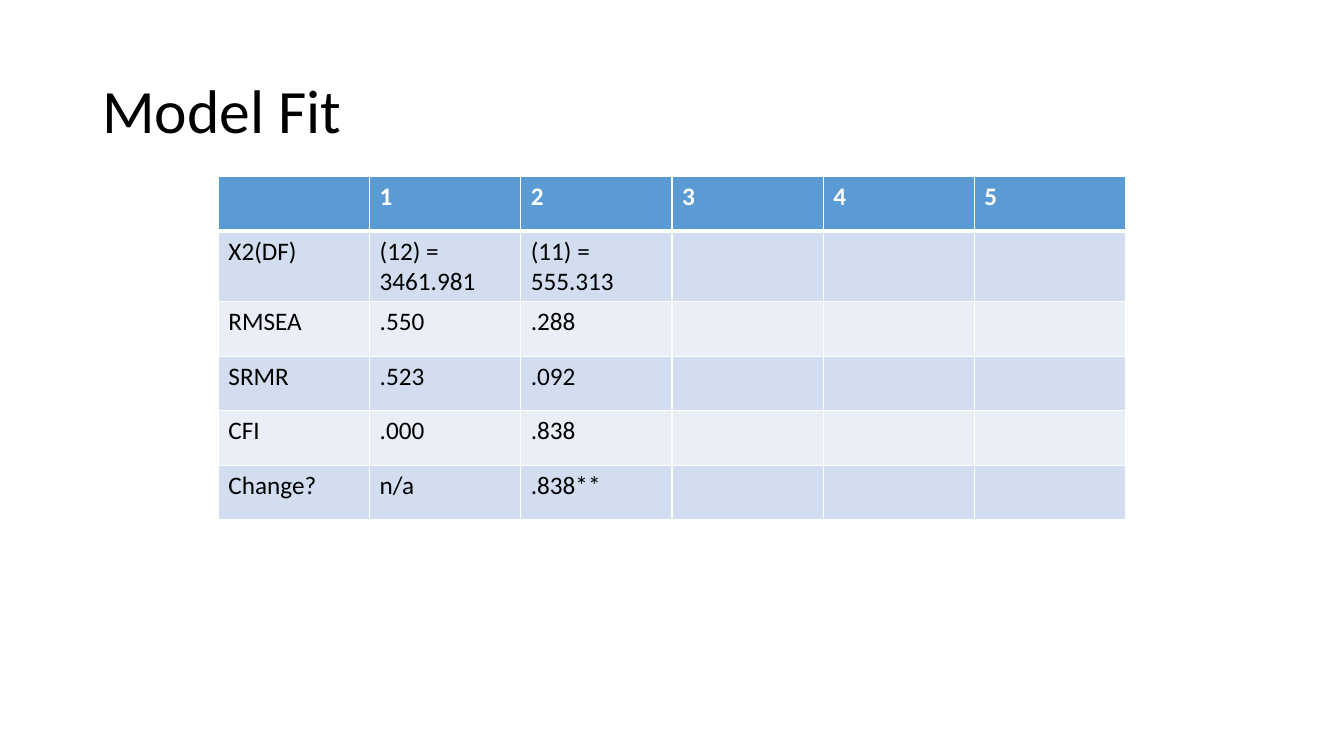
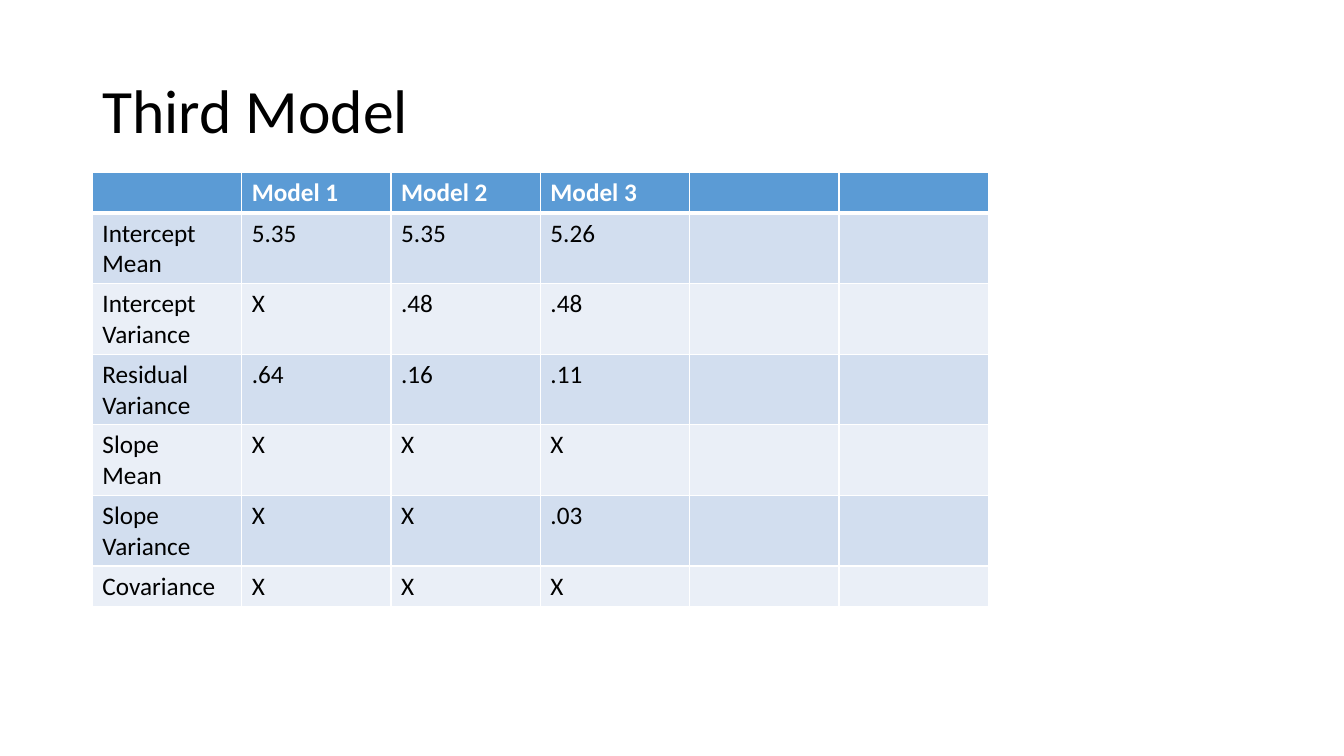
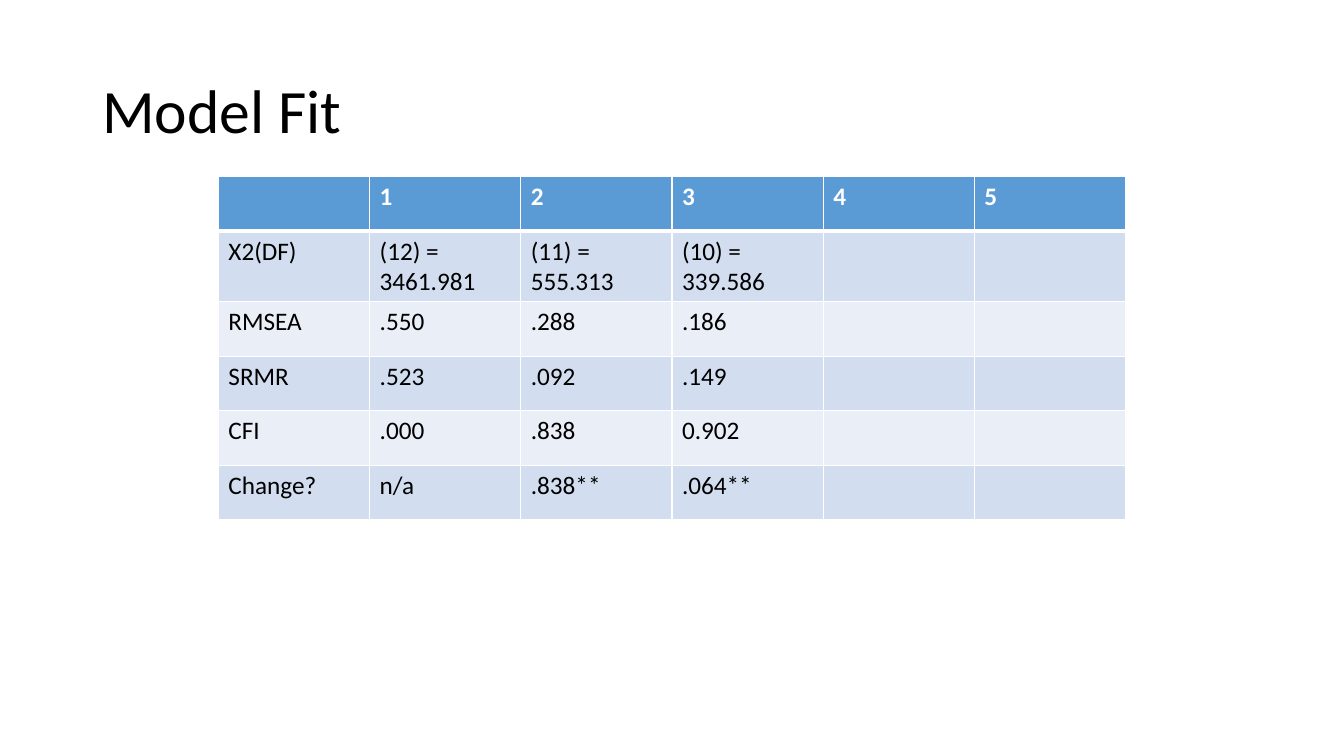
"""Builds three slides that compare growth models in tables."""
from dataclasses import dataclass

from lxml.etree import SubElement
from pptx import Presentation
from pptx.dml.color import RGBColor
from pptx.enum.text import MSO_ANCHOR
from pptx.oxml.ns import qn
from pptx.util import Inches, Pt


@dataclass(frozen=True)
class Theme:
    font: str = "Calibri"
    title_size: int = 44
    cell_size: int = 18
    ink: str = "000000"
    paper: str = "FFFFFF"
    header: str = "5B9BD5"
    bands: tuple = ("D2DEEF", "EAEFF7")
    thin_rule: int = 1
    thick_rule: int = 3
    grid_columns: int = 160
    grid_rows: int = 90
    title_area: tuple = (11, 4.8, 138, 17.4)


def grid(units):
    return Inches(units / 12)


def write(frame, text, *, font, size, color, bold=False, spacing=None):
    for number, line in enumerate(text.split("\n")):
        paragraph = frame.add_paragraph() if number else frame.paragraphs[0]
        paragraph.line_spacing = spacing
        paragraph.font.size = Pt(size)
        if line:
            run = paragraph.add_run()
            run.text = line
            run.font.name = font
            run.font.size = Pt(size)
            run.font.bold = bold
            run.font.color.rgb = RGBColor.from_string(color)


class Deck:
    def __init__(self, theme):
        self.theme = theme
        self.presentation = Presentation()
        self.presentation.slide_width = grid(theme.grid_columns)
        self.presentation.slide_height = grid(theme.grid_rows)
        self.slide = None

    def add_slide(self, title):
        blank = self.presentation.slide_layouts[6]
        self.slide = self.presentation.slides.add_slide(blank)
        box = self.slide.shapes.add_textbox(*map(grid, self.theme.title_area))
        box.text_frame.word_wrap = True
        box.text_frame.vertical_anchor = MSO_ANCHOR.MIDDLE
        write(box.text_frame, title, font=self.theme.font,
              size=self.theme.title_size, color=self.theme.ink, spacing=0.9)

    def add_table(self, content, left, top, column_width, row_height):
        row_count, column_count = len(content), len(content[0])
        table = self.slide.shapes.add_table(
            row_count, column_count, grid(left), grid(top),
            grid(column_width * column_count), grid(row_height * row_count)).table
        for column in table.columns:
            column.width = grid(column_width)
        for row in table.rows:
            row.height = grid(row_height)
        for row_index, texts in enumerate(content):
            for column_index, text in enumerate(texts):
                self.fill_cell(table.cell(row_index, column_index), text, row_index)

    def fill_cell(self, cell, text, row_index):
        theme = self.theme
        is_header = row_index == 0
        self.rule_cell(cell, row_index)
        fill = theme.header if is_header else theme.bands[(row_index - 1) % 2]
        cell.fill.solid()
        cell.fill.fore_color.rgb = RGBColor.from_string(fill)
        write(cell.text_frame, text, font=theme.font, size=theme.cell_size,
              color=theme.paper if is_header else theme.ink, bold=is_header)

    def rule_cell(self, cell, row_index):
        properties = cell._tc.get_or_add_tcPr()
        thick_side = {0: "lnB", 1: "lnT"}.get(row_index)
        for side in ("lnL", "lnR", "lnT", "lnB"):
            points = self.theme.thick_rule if side == thick_side else self.theme.thin_rule
            rule = SubElement(properties, qn(f"a:{side}"), w=str(Pt(points)))
            paint = SubElement(rule, qn("a:solidFill"))
            SubElement(paint, qn("a:srgbClr"), val=self.theme.paper)


FIT_LABELS = ("", "X2(DF)", "RMSEA", "SRMR", "CFI", "Change?")
FIT_MODELS = (
    ("1", "(12) = 3461.981", ".550", ".523", ".000", "n/a"),
    ("2", "(11) = 555.313", ".288", ".092", ".838", ".838**"),
    ("3", "(10) = 339.586", ".186", ".149", "0.902", ".064**"),
)
FIT_MODEL_COUNT = 5
ESTIMATES = (
    ("", "Model 1", "Model 2", "Model 3", "", ""),
    ("Intercept\nMean", "5.35", "5.35", "5.26", "", ""),
    ("Intercept\nVariance", "X", ".48", ".48", "", ""),
    ("Residual\nVariance", ".64", ".16", ".11", "", ""),
    ("Slope\nMean", "X", "X", "X", "", ""),
    ("Slope\nVariance", "X", "X", ".03", "", ""),
    ("Covariance", "X", "X", "X", "", ""),
)


def add_model_fit(deck, fitted):
    pending = [(str(number),) + ("",) * (len(FIT_LABELS) - 1)
               for number in range(fitted + 1, FIT_MODEL_COUNT + 1)]
    content = list(zip(FIT_LABELS, *FIT_MODELS[:fitted], *pending))
    deck.add_slide("Model Fit")
    deck.add_table(content, left=26, top=21, column_width=18, row_height=6.5)


def main():
    deck = Deck(Theme())
    add_model_fit(deck, fitted=2)
    deck.add_slide("Third Model")
    deck.add_table(ESTIMATES, left=11, top=20.5, column_width=17.78, row_height=4.87)
    add_model_fit(deck, fitted=3)
    deck.presentation.save("out.pptx")


if __name__ == "__main__":
    main()
